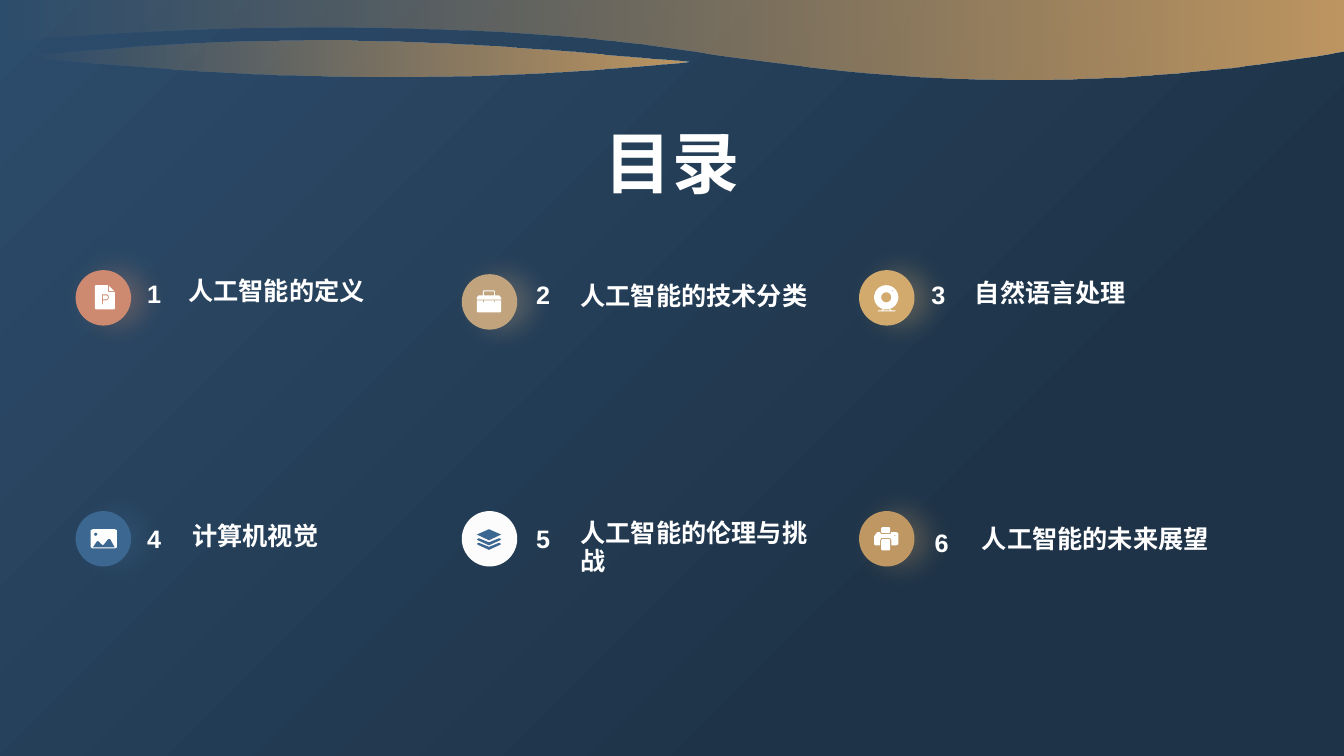
from math import cos, pi, sin

from lxml import etree
from pptx import Presentation
from pptx.dml.color import RGBColor
from pptx.enum.shapes import MSO_SHAPE
from pptx.enum.text import MSO_AUTO_SIZE, PP_ALIGN
from pptx.oxml.ns import qn
from pptx.util import Inches, Pt

ELLIPSE = MSO_SHAPE.OVAL
GROW, FIXED = MSO_AUTO_SIZE.SHAPE_TO_FIT_TEXT, MSO_AUTO_SIZE.NONE
LEFT, CENTER = PP_ALIGN.LEFT, PP_ALIGN.CENTER
CJK = "Noto Sans CJK SC"
GOLD, BLUE, WHITE = "BF9762", "3C6790", "FFFFFF"


def rgb(code):
    return RGBColor.from_string(code)


def trace(contours, left, top, unit):
    pen = None
    for contour in contours:
        dots = []
        for step in contour:
            if len(step) == 2:
                dots.append(step)
            elif len(step) == 3:
                x, y, r = step
                dots += [(x + r * cos(k * pi / 24), y + r * sin(k * pi / 24)) for k in range(48)]
            else:
                hull = [dots[-1], step[:2], step[2:4], step[4:]]
                for k in range(1, 25):
                    t = k / 24
                    weights = ((1 - t) ** 3, 3 * t * (1 - t) ** 2, 3 * t * t * (1 - t), t ** 3)
                    dots.append(tuple(sum(w * p[axis] for w, p in zip(weights, hull)) for axis in (0, 1)))
        dots = [(Inches(left + x * unit), Inches(top + y * unit)) for x, y in dots]
        if pen is None:
            pen = slide.shapes.build_freeform(*dots[0])
        else:
            pen.move_to(*dots[0])
        pen.add_line_segments(dots[1:], close=True)
    outline = pen.convert_to_shape()
    outline.shadow.inherit = False
    outline.line.fill.background()
    return outline


deck = Presentation()
deck.slide_width, deck.slide_height = Inches(13.33), Inches(7.5)
slide = deck.slides.add_slide(deck.slide_layouts[6])

backdrop = slide.background.fill
backdrop.gradient()
backdrop.gradient_angle = 315
for stop, code, place in zip(backdrop.gradient_stops, ("2D4D6C", "1E3348"), (0, 0.72)):
    stop.color.rgb = rgb(code)
    stop.position = place

waves = [
    [(0, 0), (0, 0.42), (2.21, 0.22, 4.86, 0.2, 6.89, 0.51),
     (9.23, 0.87, 11.01, 0.9, 13.33, 0.51), (13.33, 0)],
    [(6.24, 0.56), (6.43, 0.58, 6.63, 0.59, 6.83, 0.61), (4.61, 0.82, 2.89, 0.8, 0.64, 0.6),
     (0.52, 0.59, 0.39, 0.58, 0.26, 0.57), (0.26, 0.56), (2.42, 0.34, 4.07, 0.36, 6.24, 0.56)],
]
for wave in waves:
    ribbon = trace([wave], 0, 0, 1)
    ribbon.fill.gradient()
    ribbon.fill.gradient_angle = 0
    for stop in ribbon.fill.gradient_stops:
        stop.color.rgb = rgb(GOLD)
    faded = next(ribbon.fill._xPr.iter(qn("a:srgbClr")))
    etree.SubElement(faded, qn("a:alpha"), val="0")

document = [
    [(32, 15), (32, 21), (33, 22), (39, 22), (39, 38), (38, 39), (20, 39), (19, 38), (19, 16), (20, 15)],
    [(30, 24), (26, 24), (26, 34), (27, 34), (27, 30), (30, 30), (32, 30, 33, 28, 33, 27),
     (33, 25, 32, 24, 30, 24)],
    [(30, 25), (31, 25, 32, 26, 32, 27), (32, 28, 31, 29, 30, 29), (27, 29), (27, 25)],
    [(38.5, 21), (34, 21), (33, 20), (33, 15.5)],
]
briefcase = [
    [(15, 26), (21, 26), (21, 28), (22, 28), (22, 26), (32, 26), (32, 28), (33, 28), (33, 26),
     (39, 26), (39, 37), (38, 38), (16, 38), (15, 37)],
    [(32, 16), (33, 17), (33, 21), (37, 21), (39, 23), (39, 25.4), (15, 25.4), (15, 23), (17, 21),
     (21, 21), (21, 17), (22, 16)],
    [(32, 17), (22, 17), (22, 21), (32, 21)],
]
webcam = [
    [(27, 27, 12)], [(27, 27, 5)], [(33.5, 20.5, 0.6)],
    [(23.5, 38.7), (24.5, 39.2), (23.5, 40), (31, 40), (30, 39.2), (31, 38.7), (32, 40), (36, 40),
     (36, 41), (19, 41), (19, 40), (22.5, 40)],
]
landscape = [
    [(39, 18), (41, 19), (41, 36), (39, 37), (17, 37), (15, 36), (15, 19), (17, 18)],
    [(34.5, 28), (33, 27.5), (32, 28), (28, 33), (27, 33.7), (26, 33), (23, 30), (22, 29.7), (21, 30),
     (17, 36), (39, 36)],
    [(20, 23, 1.6)],
]
layers = [[(27, 18), (39, 23.3), (27, 29), (15, 23.3)]] + [
    [(15, 28 + drop), (17, 27 + drop), (27, 31 + drop), (37, 27 + drop), (39, 28 + drop),
     (38, 29 + drop), (27, 34 + drop), (16, 29 + drop)] for drop in (0, 4.5)]
printer = [
    [(23, 28), (30, 28), (31, 29), (31, 38), (30, 39), (23, 39), (22, 38), (22, 29)],
    [(21, 21), (21, 22, 22, 23, 23, 23), (30, 23), (31, 23, 32, 22, 32, 21), (37, 21), (39, 22),
     (39, 33), (37, 34), (32, 34), (32, 29), (31, 27), (22, 27), (21, 29), (21, 34), (16, 34),
     (15, 33), (15, 25), (18, 21)],
    [(35.5, 24.5, 0.6)],
    [(23, 16), (30, 16), (31, 17), (31, 21), (30, 22), (23, 22), (22, 21), (22, 17)],
]

columns, rows = (0.75, 4.58, 8.52), (2.68, 5.07)
badge_size, line_height = 0.55, 0.4
topics = [
    ("人工智能的定义", "CD8A70", document, 0, (0.61, 0.03), (1.02, 0.04)),
    ("人工智能的技术分类", "C1A47E", briefcase, 0.04, (0.64, 0.04), (1.08, 0.09)),
    ("自然语言处理", "D2AA6E", webcam, 0, (0.62, 0.04), (1.05, 0.06)),
    ("计算机视觉", BLUE, landscape, 0, (0.61, 0.07), (1.06, 0.08)),
    ("人工智能的伦理与挑战", "FCFCFC", layers, 0, (0.64, 0.07), (1.08, 0.05)),
    ("人工智能的未来展望", GOLD, printer, 0, (0.65, 0.11), (1.12, 0.11)),
]
texts = [("目录", (0.72, 1.24, 11.89, 1.21), 48, CJK, CENTER, FIXED)]
for index, (topic, tint, icon, nudge, number_shift, topic_shift) in enumerate(topics):
    left, row_top = columns[index % 3], rows[index // 3]
    top = row_top + nudge
    badge = slide.shapes.add_shape(ELLIPSE, *(Inches(v) for v in (left, top, badge_size, badge_size)))
    badge.fill.solid()
    badge.fill.fore_color.rgb = rgb(tint)
    badge.line.fill.background()
    badge.shadow.inherit = False
    if icon is not layers:
        glow = etree.SubElement(badge._element.spPr.find(qn("a:effectLst")), qn("a:outerShdw"),
                                blurRad=str(Pt(20)), dist=str(Pt(10)), dir="0", algn="l", rotWithShape="0")
        glow_color = etree.SubElement(glow, qn("a:srgbClr"), val=tint)
        etree.SubElement(glow_color, qn("a:alpha"), val="32000")
    symbol = trace(icon, left, top, 0.01)
    symbol.fill.solid()
    symbol.fill.fore_color.rgb = rgb(BLUE if icon is layers else WHITE)
    for wording, shift, width, face in ((str(index + 1), number_shift, 0.55, "Arial"),
                                        (topic, topic_shift, 2.64, CJK)):
        place = (left + shift[0], row_top + shift[1], width, line_height)
        texts.append((wording, place, 18, face, LEFT, GROW))

for wording, place, size, face, side, fitting in texts:
    frame = slide.shapes.add_textbox(*(Inches(v) for v in place)).text_frame
    frame.word_wrap = True
    frame.auto_size = fitting
    line = frame.paragraphs[0]
    line.alignment = side
    if face == CJK:
        line.line_spacing = 0.9
    run = line.add_run()
    run.text = wording
    for trait, value in {"size": Pt(size), "bold": True, "name": face}.items():
        setattr(run.font, trait, value)
    run.font.color.rgb = rgb(WHITE)
    etree.SubElement(run.font._element, qn("a:ea"), typeface=face)

deck.save("out.pptx")
